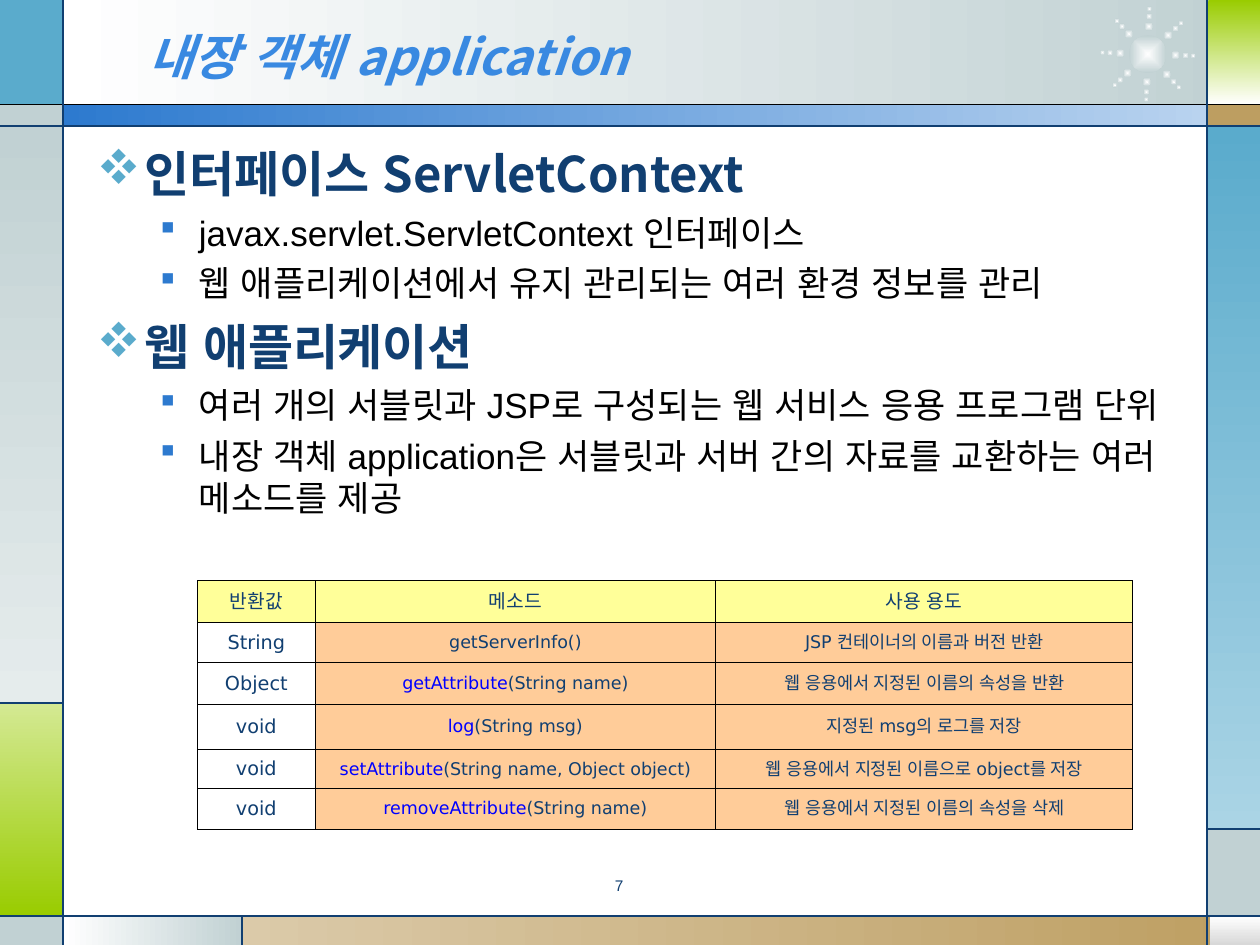
import math
from lxml import etree
from pptx import Presentation
from pptx import util as u
from pptx.dml.color import RGBColor
from pptx.enum import shapes, text
from pptx.oxml import parse_xml
from pptx.oxml.ns import nsdecls, qn

WIDTH, HEIGHT = 10, 7.5
NAVY, BLACK = RGBColor(0x11, 0x3F, 0x71), RGBColor(0, 0, 0)
WHITE, MIST = RGBColor(0xFF, 0xFF, 0xFF), RGBColor(0xC1, 0xD1, 0xD3)
PALE_MIST, GREY = RGBColor(0xE5, 0xEC, 0xEC), RGBColor(0xD8, 0xD8, 0xD8)
TEAL, PALE_TEAL = RGBColor(0x5A, 0xAB, 0xCC), RGBColor(0xAA, 0xD4, 0xE5)
GREEN, PALE_GREEN = RGBColor(0x99, 0xCC, 0), RGBColor(0xD4, 0xE9, 0x93)
TAN, PALE_TAN = RGBColor(0xBD, 0x9E, 0x61), RGBColor(0xDB, 0xCA, 0xA9)
BLUE, PALE_BLUE = RGBColor(0x2D, 0x7A, 0xCF), RGBColor(0xB9, 0xD3, 0xEF)
TITLE_BLUE, CODE_BLUE = RGBColor(0x39, 0x89, 0xE1), RGBColor(0, 0, 0xFF)
YELLOW, PEACH = RGBColor(0xFF, 0xFF, 0x99), RGBColor(0xFF, 0xCC, 0x99)
KOREAN, LATIN, TABLE_FONT = "Noto Sans CJK KR", "Arial", "DejaVu Sans"
# Wingdings codes for the diamond and the small square
BULLET_FONT, DIAMOND, SQUARE = "Wingdings", "v", "§"

# Content
TITLE = "내장 객체 application"
PAGE_NUMBER = "7"
OUTLINE = [
    ("인터페이스 ServletContext", [
        "javax.servlet.ServletContext 인터페이스",
        "웹 애플리케이션에서 유지 관리되는 여러 환경 정보를 관리"]),
    ("웹 애플리케이션", [
        "여러 개의 서블릿과 JSP로 구성되는 웹 서비스 응용 프로그램 단위",
        "내장 객체 application은 서블릿과 서버 간의 자료를 교환하는 여러 메소드를 제공"]),
]
TABLE_HEADER = ("반환값", "메소드", "사용 용도")
# Return type, linked method name, rest of the signature, purpose
METHODS = [
    ("String", "", "getServerInfo()", "JSP 컨테이너의 이름과 버전 반환"),
    ("Object", "getAttribute", "(String\u00a0name)", "웹 응용에서 지정된 이름의 속성을 반환"),
    ("void", "log", "(String\u00a0msg)", "지정된 msg의 로그를 저장"),
    ("void", "setAttribute", "(String\u00a0name, Object\u00a0object)",
     "웹 응용에서 지정된 이름으로 object를 저장"),
    ("void", "removeAttribute", "(String\u00a0name)", "웹 응용에서 지정된 이름의 속성을 삭제"),
]
COLUMN_WIDTHS = (0.93, 3.18, 3.31)
ROW_HEIGHTS = (0.33, 0.32, 0.33, 0.36, 0.31, 0.32)

# Frame grid: edges shared by panels and rules
LEFT, RIGHT, TOP, BAR, BOTTOM = 0.5, 9.58, 0.83, 1, 7.27
GREEN_TOP, GREY_TOP, TAN_LEFT = 5.58, 6.58, 1.92
# Left, top, right, bottom, colours, gradient angle
PANELS = [
    (LEFT, 0, 9.77, TOP, (WHITE, MIST), 0),
    (0, 0, LEFT, TOP, (TEAL,), 0),
    (0, TOP, LEFT, BAR, (MIST,), 0),
    (0, BAR, LEFT, GREEN_TOP, (MIST, PALE_MIST), 90),
    (0, GREEN_TOP, LEFT, BOTTOM, (PALE_GREEN, GREEN), 90),
    (0, BOTTOM, LEFT, HEIGHT, (MIST,), 0),
    (LEFT, BOTTOM, TAN_LEFT, HEIGHT, (WHITE, MIST), 0),
    (TAN_LEFT, BOTTOM, WIDTH, HEIGHT, (PALE_TAN, TAN), 0),
    (9.6, BOTTOM, WIDTH, HEIGHT, (WHITE, GREY), 90),
    (RIGHT, GREY_TOP, WIDTH, BOTTOM, (MIST,), 0),
    (RIGHT, BAR, WIDTH, GREY_TOP, (TEAL, PALE_TEAL), 90),
    (RIGHT, TOP, WIDTH, BAR, (TAN,), 0),
    (9.59, 0, WIDTH, TOP, (GREEN, WHITE), 90),
    (LEFT, TOP, 9.59, BAR, (BLUE, PALE_BLUE), 0),
]
RULES = [
    (0, TOP, WIDTH, TOP, BLACK), (0, BAR, WIDTH, BAR, NAVY),
    (0, BOTTOM, WIDTH, BOTTOM, NAVY), (LEFT, 0, LEFT, HEIGHT, NAVY),
    (RIGHT, 0, RIGHT, HEIGHT, NAVY), (0, GREEN_TOP, LEFT, GREEN_TOP, NAVY),
    (TAN_LEFT, BOTTOM, TAN_LEFT, HEIGHT, NAVY),
    (RIGHT, GREY_TOP, WIDTH, GREY_TOP, NAVY),
]
# Starburst: centre, and distance and size of the dots on each ray
BURST_CENTER, BURST_CORE, BURST_RAYS, BURST_TILT = (9.11, 0.43), 0.3, 8, 2
BURST_DOTS = [(0.22, 0.07), (0.3, 0.05), (0.36, 0.04)]

presentation = Presentation()
presentation.slide_width, presentation.slide_height = u.Inches(WIDTH), u.Inches(HEIGHT)
slide = presentation.slides.add_slide(presentation.slide_layouts[6])


def add_filled(parent, kind, left, top, width, height, colors, angle=0, radial=False):
    shape = parent.add_shape(kind, *map(u.Inches, (left, top, width, height)))
    shape.shadow.inherit = False
    shape.line.fill.background()
    if len(colors) == 1:
        shape.fill.solid()
        shape.fill.fore_color.rgb = colors[0]
        return shape
    stops = "".join(f'<a:gs pos="{i * 100000}"><a:srgbClr val="{color}"/></a:gs>'
                    for i, color in enumerate(colors))
    direction = ('<a:path path="rect"><a:fillToRect l="50000" t="50000" r="50000" b="50000"/></a:path>'
                 if radial else f'<a:lin ang="{angle * 60000}" scaled="0"/>')
    gradient = parse_xml(f'<a:gradFill {nsdecls("a")} rotWithShape="1">'
                         f'<a:gsLst>{stops}</a:gsLst>{direction}</a:gradFill>')
    shape._element.spPr.find(qn("a:prstGeom")).addnext(gradient)
    return shape


def add_run(paragraph, content, size, color, font=KOREAN, bold=False, italic=False):
    run = paragraph.add_run()
    run.text = content
    run.font.size, run.font.name = u.Pt(size), font
    run.font.bold, run.font.italic = bold, italic
    run.font.color.rgb = color
    east_asian = etree.SubElement(run._r.get_or_add_rPr(), qn("a:ea"))
    east_asian.set("typeface", LATIN)


def add_text_frame(left, top, width, height, anchor=text.MSO_ANCHOR.TOP):
    frame = slide.shapes.add_textbox(*map(u.Inches, (left, top, width, height))).text_frame
    frame.word_wrap = True
    frame.vertical_anchor = anchor
    return frame


def format_bullet(paragraph, character, color, level, margin, hanging, before):
    paragraph.level = level
    paragraph.space_before = u.Pt(before)
    properties = paragraph._p.get_or_add_pPr()
    properties.set("marL", str(u.Inches(margin)))
    properties.set("indent", str(-u.Inches(hanging)))
    bullet_color = etree.SubElement(properties, qn("a:buClr"))
    etree.SubElement(bullet_color, qn("a:srgbClr")).set("val", str(color))
    bullet_font = etree.SubElement(properties, qn("a:buFont"))
    bullet_font.set("typeface", BULLET_FONT)
    bullet_font.set("charset", "2")
    etree.SubElement(properties, qn("a:buChar")).set("char", character)


def fill_cell(cell, runs, fill=None):
    cell.vertical_anchor = text.MSO_ANCHOR.MIDDLE
    cell.margin_left = cell.margin_right = u.Inches(0.07)
    cell.margin_top = cell.margin_bottom = u.Inches(0.05)
    paragraph = cell.text_frame.paragraphs[0]
    paragraph.alignment = text.PP_ALIGN.CENTER
    for content, size, color in runs:
        add_run(paragraph, content, size, color, font=TABLE_FONT)
    if fill is None:
        cell.fill.background()
    else:
        cell.fill.solid()
        cell.fill.fore_color.rgb = fill
    properties = cell._tc.get_or_add_tcPr()
    for position, side in enumerate(("lnL", "lnR", "lnT", "lnB")):
        properties.insert(position, parse_xml(
            f'<a:{side} {nsdecls("a")} w="{u.Pt(0.45)}"><a:solidFill>'
            f'<a:srgbClr val="{BLACK}"/></a:solidFill></a:{side}>'))


# Frame panels
for left, top, right, bottom, colors, angle in PANELS:
    add_filled(slide.shapes, shapes.MSO_SHAPE.RECTANGLE,
               left, top, right - left, bottom - top, colors, angle)

# Starburst
burst = slide.shapes.add_group_shape()
dots = [(*BURST_CENTER, BURST_CORE)]
for ray in range(BURST_RAYS):
    direction = math.radians(ray * 360 / BURST_RAYS + BURST_TILT)
    dots += [(BURST_CENTER[0] + distance * math.cos(direction),
              BURST_CENTER[1] + distance * math.sin(direction), size)
             for distance, size in BURST_DOTS]
for x, y, size in dots:
    add_filled(burst.shapes, shapes.MSO_SHAPE.OVAL, x - size / 2, y - size / 2,
               size, size, (WHITE, MIST), radial=True)

# Frame rules
for *ends, color in RULES:
    rule = slide.shapes.add_connector(shapes.MSO_CONNECTOR.STRAIGHT, *map(u.Inches, ends))
    rule.line.color.rgb, rule.line.width = color, u.Pt(0.74)
    etree.SubElement(rule._element.spPr, qn("a:effectLst"))

# Title
title = add_text_frame(1.08, 0.13, 7.33, 0.62, text.MSO_ANCHOR.MIDDLE)
add_run(title.paragraphs[0], TITLE, 28, TITLE_BLUE, bold=True, italic=True)

# Outline
outline = add_text_frame(0.67, 1.09, 8.77, 5.63)
paragraph = outline.paragraphs[0]
for heading, points in OUTLINE:
    if paragraph.runs:
        paragraph = outline.add_paragraph()
    format_bullet(paragraph, DIAMOND, TEAL, 0, 0.38, 0.38, 7)
    add_run(paragraph, heading, 28, NAVY, bold=True)
    for point in points:
        paragraph = outline.add_paragraph()
        format_bullet(paragraph, SQUARE, BLUE, 1, 0.81, 0.31, 5)
        add_run(paragraph, point, 20, BLACK, font=LATIN)

# Page number
number = add_text_frame(3.75, 6.93, 2.33, 0.27).paragraphs[0]
number.alignment, number.line_spacing = text.PP_ALIGN.CENTER, 0.8
add_run(number, PAGE_NUMBER, 8.8, NAVY, font=LATIN)

# Method table
table = slide.shapes.add_table(
    len(ROW_HEIGHTS), len(COLUMN_WIDTHS), u.Inches(1.57), u.Inches(4.61),
    u.Inches(sum(COLUMN_WIDTHS)), u.Inches(sum(ROW_HEIGHTS))).table
table.first_row = table.horz_banding = False
for column, width in zip(table.columns, COLUMN_WIDTHS):
    column.width = u.Inches(width)
for row, height in zip(table.rows, ROW_HEIGHTS):
    row.height = u.Inches(height)
for column, label in enumerate(TABLE_HEADER):
    fill_cell(table.cell(0, column), [(label, 11, NAVY)], YELLOW)
for row, (returned, method, signature, purpose) in enumerate(METHODS, 1):
    linked = [(method, 10, CODE_BLUE)] if method else []
    fill_cell(table.cell(row, 0), [(returned, 11, NAVY)])
    fill_cell(table.cell(row, 1), linked + [(signature, 10, NAVY)], PEACH)
    fill_cell(table.cell(row, 2), [(purpose, 10, NAVY)], PEACH)

presentation.save("out.pptx")
